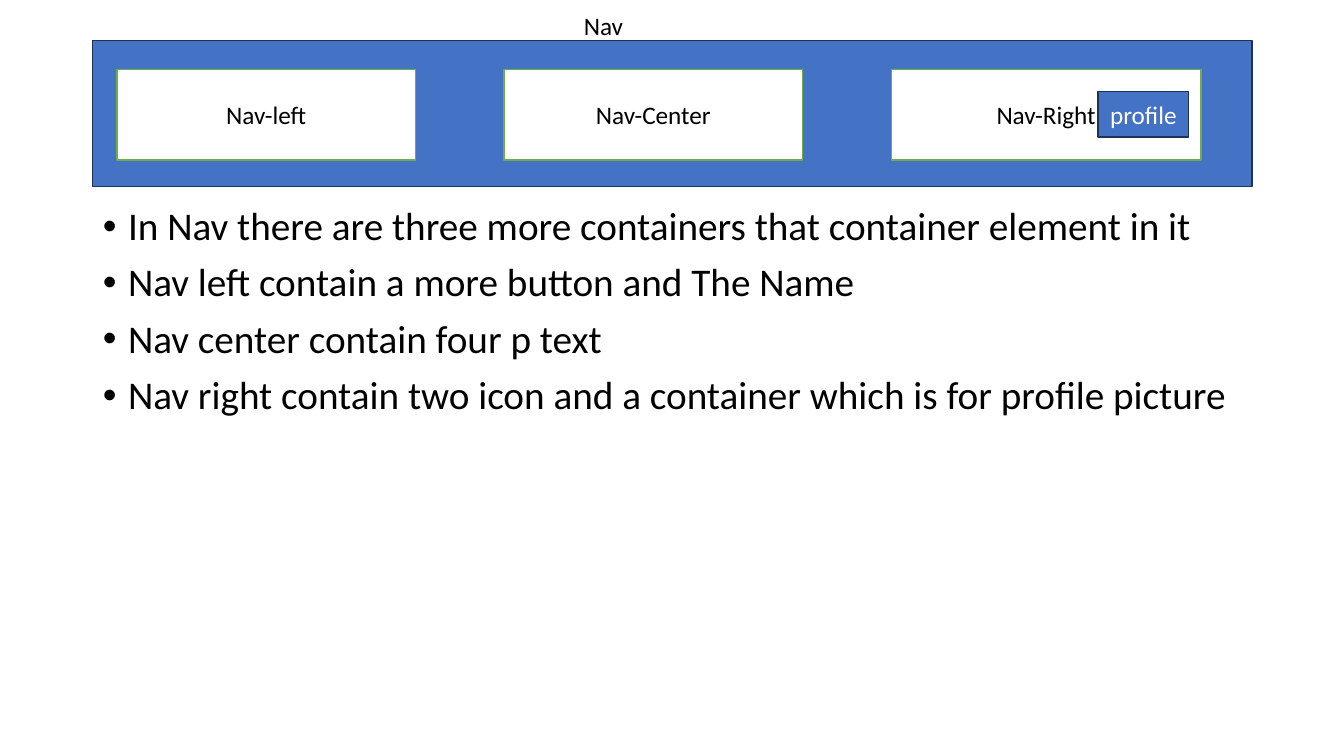
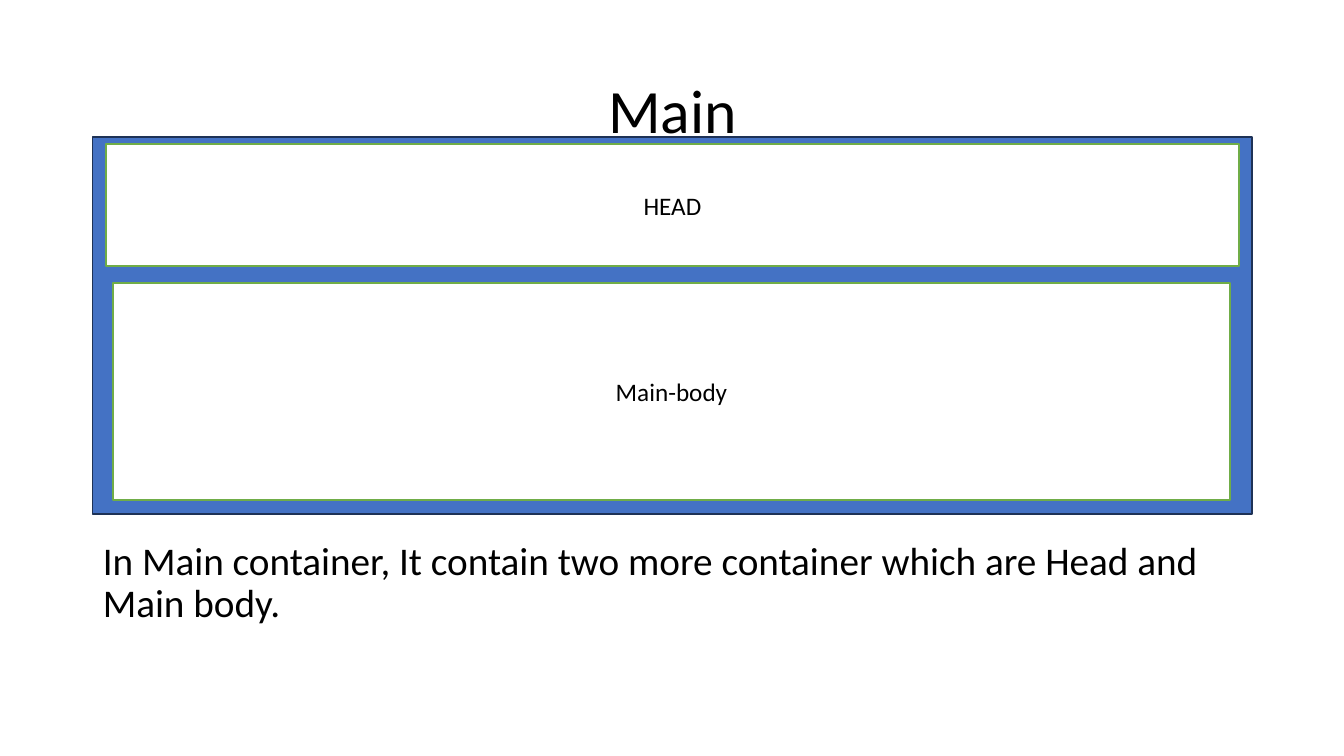
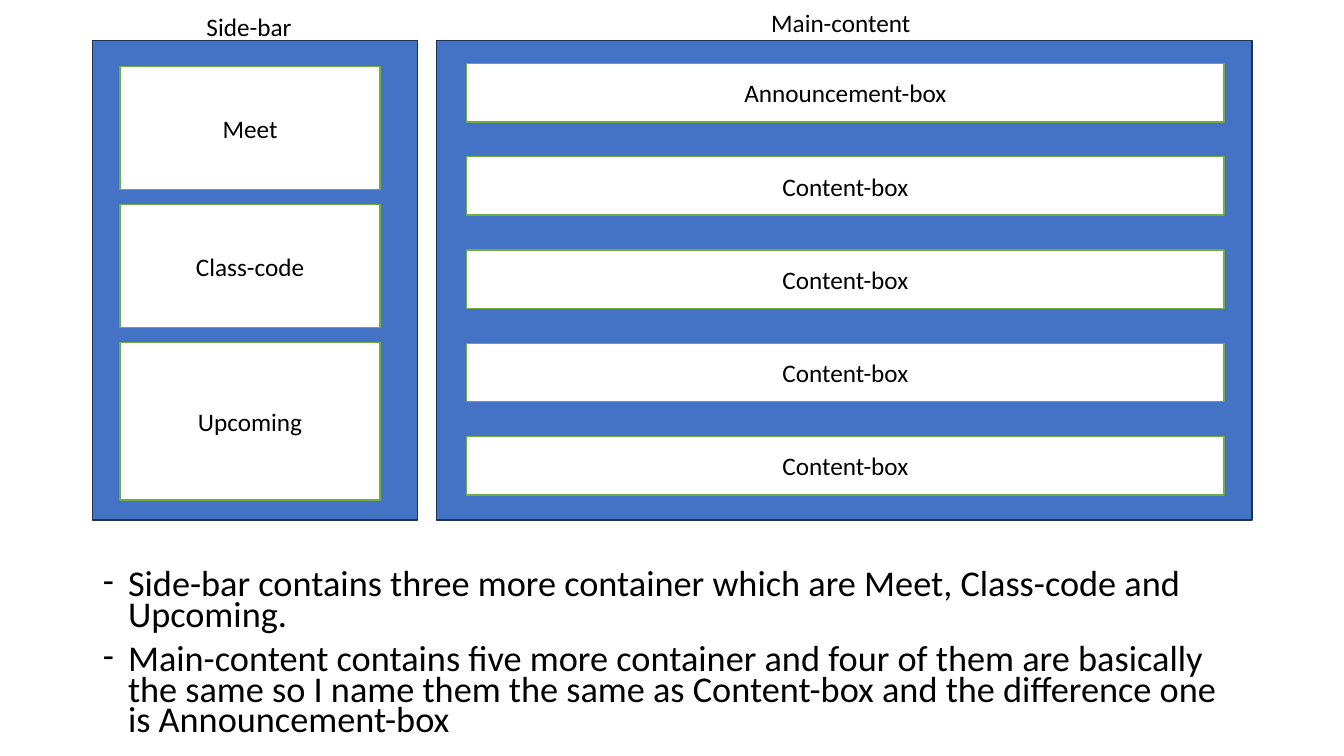
import dataclasses
import itertools
import pptx
import pptx.dml.color
import pptx.enum.shapes
import pptx.enum.text
import pptx.oxml.ns
import pptx.util
import lxml.etree

ANCHOR = pptx.enum.text.MSO_ANCHOR
ALIGN = pptx.enum.text.PP_ALIGN
FIT = pptx.enum.text.MSO_AUTO_SIZE
RECT = pptx.enum.shapes.MSO_SHAPE.RECTANGLE


@dataclasses.dataclass(frozen=True)
class Theme:
    font: str = "Calibri"
    text: str = "000000"
    light: str = "FFFFFF"
    panel: tuple = ("4472C4", "1E3256")
    cell: tuple = ("FFFFFF", "70AD47")
    line: float = 1
    title: float = 44
    body: float = 28
    dense: float = 25.9
    label: float = 18
    indent: float = 0.25


@dataclasses.dataclass(frozen=True)
class Box:
    x: float
    y: float
    w: float
    h: float

    def area(self, x, y, w, h):
        return Box(self.x + self.w * x / 100, self.y + self.h * y / 100,
                   self.w * w / 100, self.h * h / 100)

    def divide(self, weights, gap, across=False):
        unit = (100 - gap * (len(weights) - 1)) / sum(weights)
        sizes = [unit * weight for weight in weights]
        starts = itertools.accumulate([0] + [size + gap for size in sizes[:-1]])
        return [self.area(start, 0, size, 100) if across else self.area(0, start, 100, size)
                for start, size in zip(starts, sizes)]

    def emu(self):
        return [pptx.util.Inches(v) for v in (self.x, self.y, self.w, self.h)]


THEME = Theme()
SLIDE = Box(0, 0, 13.33, 7.5)
LEFT, WIDTH, TOP = 6.9, 86.27, 5.33


def rgb(value):
    return pptx.dml.color.RGBColor.from_string(value)


def apply(target, values):
    for name, value in values.items():
        setattr(target, name, value)


def write(sp, lines, size, color=THEME.text, frame=None, para=None):
    tf = sp.text_frame
    apply(tf, {"word_wrap": True, "auto_size": FIT.NONE, **(frame or {})})
    for i, line in enumerate(lines):
        p = tf.add_paragraph() if i else tf.paragraphs[0]
        apply(p, para or {})
        r = p.add_run()
        r.text = line
        apply(r.font, {"name": THEME.font, "size": pptx.util.Pt(size)})
        r.font.color.rgb = rgb(color)


def place(sp, box):
    apply(sp, dict(zip(("left", "top", "width", "height"), box.emu())))


def rect(s, box, colors, text="", color=THEME.text):
    sp = s.shapes.add_shape(RECT, *box.emu())
    sp.shadow.inherit = False
    sp.fill.solid()
    sp.fill.fore_color.rgb = rgb(colors[0])
    sp.line.color.rgb = rgb(colors[1])
    sp.line.width = pptx.util.Pt(THEME.line)
    if text:
        write(sp, [text], THEME.label, color,
              {"vertical_anchor": ANCHOR.MIDDLE}, {"alignment": ALIGN.CENTER})


def cells(s, boxes, names):
    for box, name in zip(boxes, names):
        rect(s, box, THEME.cell, name)


def label(sp, text):
    write(sp, [text], THEME.label,
          frame={"word_wrap": False, "auto_size": FIT.SHAPE_TO_FIT_TEXT,
                 "vertical_anchor": ANCHOR.TOP},
          para={"alignment": ALIGN.LEFT})


def caption(s, box, text):
    label(s.shapes.add_textbox(*box.emu()), text)


def body(s, box, lines, size=THEME.body, spacing=0.9, bullet=None, bullet_font="Arial"):
    sp = s.placeholders[1]
    place(sp, box)
    write(sp, lines, size, frame={"vertical_anchor": ANCHOR.TOP},
          para={"line_spacing": spacing, "space_before": pptx.util.Pt(10)})
    qn = pptx.oxml.ns.qn
    indent = pptx.util.Inches(THEME.indent) if bullet else 0
    for p in sp.text_frame.paragraphs:
        pPr = p._p.get_or_add_pPr()
        pPr.set("marL", str(indent))
        pPr.set("indent", str(-indent))
        if bullet:
            lxml.etree.SubElement(pPr, qn("a:buFont")).set("typeface", bullet_font)
            lxml.etree.SubElement(pPr, qn("a:buChar")).set("char", bullet)
        else:
            lxml.etree.SubElement(pPr, qn("a:buNone"))


def nav_bar(s, box):
    rect(s, box, THEME.panel)
    boxes = box.area(2.09, 20, 93.48, 62.07).divide([2.96, 2.96, 3.07], 8.19, across=True)
    cells(s, boxes, ["Nav-left", "Nav-Center", "Nav-Right"])
    rect(s, boxes[-1].area(66.78, 24.44, 29.32, 50), THEME.panel, "profile", THEME.light)


def main_panel(s, box):
    rect(s, box, THEME.panel)
    cells(s, [box.area(1.13, 1.87, 97.74, 32.35), box.area(1.74, 38.77, 96.35, 57.49)],
          ["HEAD", "Main-body"])


def side_bar(s, box):
    rect(s, box, THEME.panel)
    cells(s, box.area(8.39, 5.46, 80.12, 90.34).divide([1.22, 1.22, 1.56], 3.49),
          ["Meet", "Class-code", "Upcoming"])


def main_content(s, box):
    rect(s, box, THEME.panel)
    names = ["Announcement-box"] + ["Content-box"] * 4
    cells(s, box.area(3.71, 4.83, 92.83, 89.92).divide([1] * len(names), 8.06), names)


def nav_slide(s):
    place(s.shapes.title, SLIDE.area(42.69, 0.67, 4.5, TOP))
    label(s.shapes.title, "Nav")
    body(s, SLIDE.area(LEFT, 26.67, WIDTH, 63.47), [
        "In Nav there are three more containers that container element in it",
        "Nav left contain a more button and The Name",
        "Nav center contain four p text",
        "Nav right contain two icon and a container which is for profile picture",
    ], bullet="•")
    nav_bar(s, SLIDE.area(LEFT, TOP, WIDTH, 19.33))


def main_slide(s):
    place(s.shapes.title, SLIDE.area(LEFT, TOP, WIDTH, 19.33))
    write(s.shapes.title, ["Main"], THEME.title, frame={"vertical_anchor": ANCHOR.MIDDLE},
          para={"alignment": ALIGN.CENTER, "line_spacing": 0.9})
    body(s, SLIDE.area(LEFT, 70.93, WIDTH, 22), [
        "In Main container, It contain two more container which are Head and Main body.",
    ])
    main_panel(s, SLIDE.area(LEFT, 18.13, WIDTH, 49.87))


def content_slide(s):
    title = s.shapes.title.element
    title.getparent().remove(title)
    body(s, SLIDE.area(LEFT, 75.07, WIDTH, 24.93), [
        "Side-bar contains three more container which are Meet, Class-code and Upcoming.",
        "Main-content contains five more container and four of them are basically the same "
        "so I name them the same as Content-box and the difference one is Announcement-box",
    ], THEME.dense, 0.7, "-", THEME.font)
    side_bar(s, SLIDE.area(LEFT, TOP, 24.16, 63.47))
    main_content(s, SLIDE.area(32.48, TOP, 60.69, 63.47))
    caption(s, SLIDE.area(14.63, 0.8, 7.88, TOP), "Side-bar")
    caption(s, SLIDE.area(56.64, 0.27, 12, TOP), "Main-content")


def main():
    prs = pptx.Presentation()
    prs.slide_width = pptx.util.Inches(SLIDE.w)
    prs.slide_height = pptx.util.Inches(SLIDE.h)
    for build in (nav_slide, main_slide, content_slide):
        build(prs.slides.add_slide(prs.slide_layouts[1]))
    prs.save("out.pptx")


if __name__ == "__main__":
    main()
